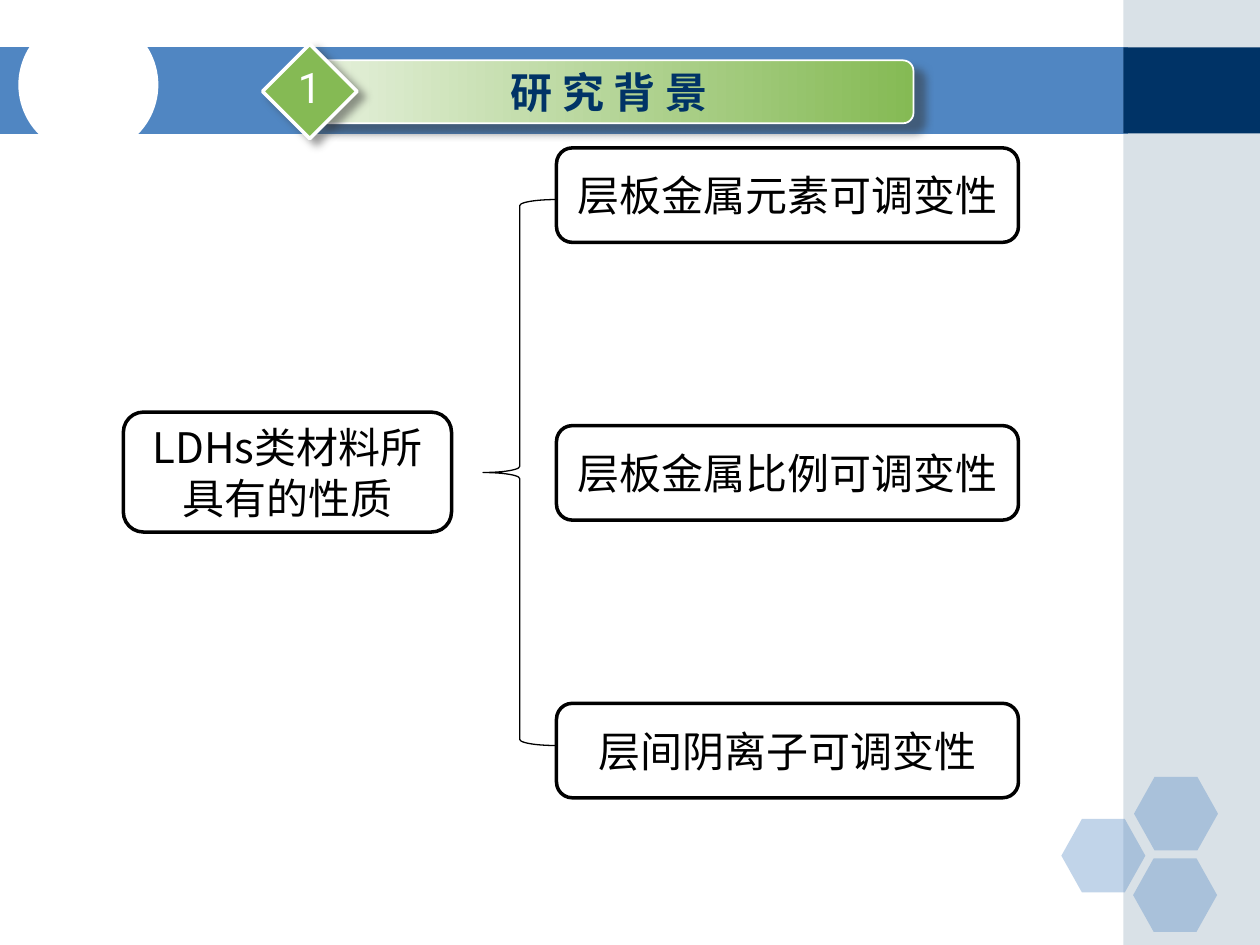
from lxml.etree import SubElement
from pptx import Presentation
from pptx.dml.color import RGBColor
from pptx.enum.shapes import MSO_SHAPE
from pptx.enum.text import MSO_ANCHOR, PP_ALIGN
from pptx.oxml.ns import qn
from pptx.util import Pt

HUES = {"blue": "5086C2", "navy": "003366", "mist": "A0B5C4", "white": "FFFFFF",
        "green": "85BA54", "pale": "E5F0DB", "black": "000000", "shade": "333333"}
HAN, LATIN = "Noto Sans CJK SC", "Roboto"
TITLE, NUMBER = "研 究 背 景", "1"
ROOT = "LDHs类材料所具有的性质"
TRAITS = ["层板金属元素可调变性", "层板金属比例可调变性", "层间阴离子可调变性"]
HEXES = [(606.5, 468), (648, 444), (647.5, 490.5)]


def hue(name):
    return RGBColor.from_string(HUES[name])


def draw(kind, box, fill, line=None, width=2, alpha=None, adj=None):
    shape = slide.shapes.add_shape(kind, *map(Pt, box))
    shape.shadow.inherit = False
    shape.fill.solid()
    shape.fill.fore_color.rgb = hue(fill)
    if alpha:
        color = shape.fill._xPr.find(".//" + qn("a:srgbClr"))
        SubElement(color, qn("a:alpha"), val=str(alpha * 1000))
    if line:
        shape.line.color.rgb = hue(line)
        shape.line.width = Pt(width)
    else:
        shape.line.fill.background()
    if adj:
        shape.adjustments[0] = adj
    return shape


def cast(shape, dist, angle):
    effects = shape._element.spPr.find(qn("a:effectLst"))
    outer = SubElement(effects, qn("a:outerShdw"), blurRad=str(Pt(5)),
                       dist=str(Pt(dist)), dir=str(angle * 60000),
                       algn="ctr", rotWithShape="0")
    color = SubElement(outer, qn("a:srgbClr"), val=HUES["shade"])
    SubElement(color, qn("a:alpha"), val="50000")


def write(shape, text, color, face=HAN, bold=False, wrap=True):
    frame = shape.text_frame
    frame.text = text
    frame.word_wrap = wrap
    frame.vertical_anchor = MSO_ANCHOR.MIDDLE
    frame.margin_left = frame.margin_right = Pt(3.6)
    frame.margin_top = frame.margin_bottom = 0
    para = frame.paragraphs[0]
    para.alignment = PP_ALIGN.CENTER
    font = para.runs[0].font
    font.size, font.bold, font.name = Pt(24), bold, face
    font.color.rgb = hue(color)
    SubElement(font._element, qn("a:ea"), typeface=face)


def label(box, text):
    shape = draw(MSO_SHAPE.ROUNDED_RECTANGLE, box, "white", "black", adj=0.167)
    write(shape, text, "black")


deck = Presentation()
deck.slide_width, deck.slide_height = Pt(720), Pt(540)
slide = deck.slides.add_slide(deck.slide_layouts[5])

draw(MSO_SHAPE.RECTANGLE, (0, 27, 644.5, 49.5), "blue")
draw(MSO_SHAPE.RECTANGLE, (642, 0, 78, 540), "mist", alpha=40)
draw(MSO_SHAPE.RECTANGLE, (642, 27, 78, 49.3), "navy")
for left, top in HEXES:
    draw(MSO_SHAPE.HEXAGON, (left, top, 48, 42), "blue", alpha=35, adj=0.28)
draw(MSO_SHAPE.OVAL, (11.5, 9.5, 78, 78), "white", "white")

bar = draw(MSO_SHAPE.ROUNDED_RECTANGLE, (180, 34.5, 342, 36), "green", "white", 1, adj=0.167)
bar.fill.gradient()
bar.fill.gradient_angle = 0
for stop, name, spot in zip(bar.fill.gradient_stops, ("pale", "green"), (0, 1)):
    stop.color.rgb = hue(name)
    stop.position = spot
cast(bar, 7.8, 40)

title = slide.shapes.title
title.left, title.top, title.width, title.height = map(Pt, (276, 32.5, 144, 40))
write(title, TITLE, "navy", bold=True, wrap=False)
slide.shapes._spTree.append(title._element)

badge = draw(MSO_SHAPE.DIAMOND, (150, 25.2, 54, 54), "green", "white")
cast(badge, 5, 37)
write(badge, NUMBER, "white", LATIN, wrap=False)
badge.text_frame.margin_bottom = Pt(5)

label((70.5, 235.5, 187.5, 68.5), ROOT)
brace = draw(MSO_SHAPE.LEFT_BRACE, (276, 114, 42, 312), "white", "black", 0.75, adj=0.083)
for i, trait in enumerate(TRAITS):
    label((318, 84.5 + 158.7 * i, 264, 54), trait)

deck.save("out.pptx")
